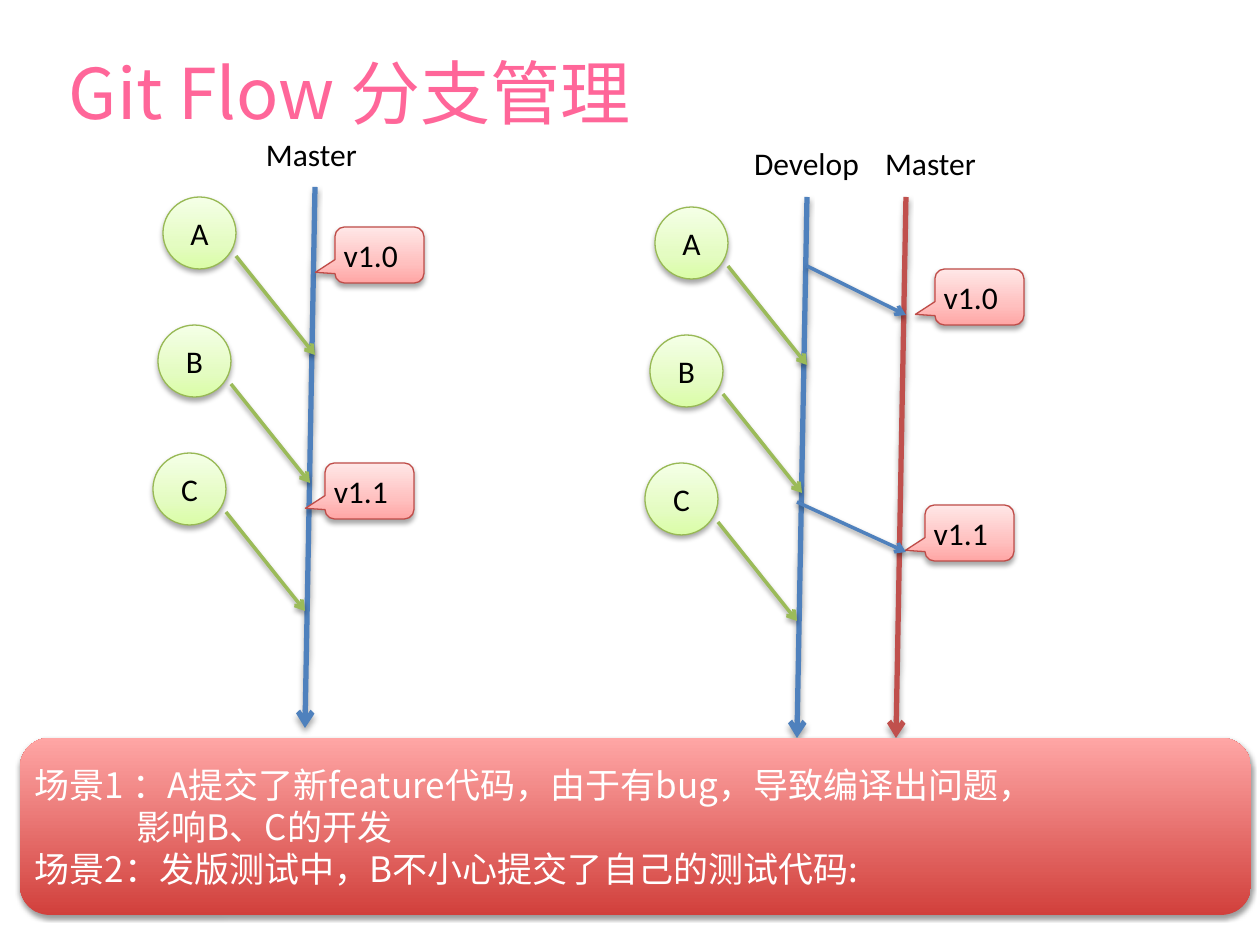
"""Build the branch management slide with one branch versus develop and master."""
from pptx import Presentation
from pptx.dml.color import RGBColor
from pptx.enum.shapes import MSO_CONNECTOR, MSO_SHAPE
from pptx.enum.text import MSO_ANCHOR, PP_ALIGN
from pptx.oxml import parse_xml
from pptx.oxml.ns import nsdecls, qn
from pptx.util import Emu, Pt

SANS = "Calibri"
CJK = "Noto Sans CJK SC"
BLUE, RED, GREEN = "4F81BD", "C0504D", "9BBB59"
GREEN_STOPS = [(0, "DAFDA7"), (35, "E4FCC2"), (100, "F5FFE7")]
PINK_STOPS = [(0, "FFA6A5"), (35, "FFC0BF"), (100, "FFE7E7")]
RED_STOPS = [(0, "D1403C"), (100, "FFA6A5")]


def px(length):
    return Emu(round(length * 914400 / 126))


def color(code):
    return RGBColor.from_string(code)


def effects(distance=1.8, opacity=35):
    return parse_xml(
        f'<a:effectLst {nsdecls("a")}><a:outerShdw blurRad="{Pt(3)}" dist="{Pt(distance)}" '
        f'dir="5400000" rotWithShape="0"><a:srgbClr val="000000">'
        f'<a:alpha val="{opacity * 1000}"/></a:srgbClr></a:outerShdw></a:effectLst>')


class Board:
    def __init__(self, presentation):
        self.slide = presentation.slides.add_slide(presentation.slide_layouts[6])
        self.shapes = self.slide.shapes

    def fill_text(self, shape, lines, size=18, font=SANS, ink="000000", wrap=False,
                  anchor=MSO_ANCHOR.MIDDLE, align=PP_ALIGN.LEFT):
        frame = shape.text_frame
        frame.word_wrap = wrap
        frame.vertical_anchor = anchor
        frame.margin_left = frame.margin_right = px(6)
        frame.margin_top = frame.margin_bottom = px(6)
        for index, (text, indent) in enumerate(lines):
            paragraph = frame.add_paragraph() if index else frame.paragraphs[0]
            paragraph.alignment = align
            if indent:
                paragraph._p.get_or_add_pPr().set("marL", str(px(indent)))
            run = paragraph.add_run()
            run.text = text
            run.font.size = Pt(size)
            run.font.name = font
            run.font.color.rgb = color(ink)
            run.font._element.append(
                parse_xml(f'<a:ea {nsdecls("a")} typeface="{CJK}"/>'))

    def text(self, words, left, top, width, height, **style):
        box = self.shapes.add_textbox(px(left), px(top), px(width), px(height))
        self.fill_text(box, [(words, 0)], **style)

    def label(self, words, left, top, width=105):
        self.text(words, left, top, width, 50, anchor=MSO_ANCHOR.TOP)

    def box(self, kind, left, top, width, height, stops, outline=None, shadow=(1.8, 35)):
        shape = self.shapes.add_shape(kind, px(left), px(top), px(width), px(height))
        shape.fill.gradient()
        shape.fill.gradient_angle = 90
        properties = shape._element.spPr
        stop_list = properties.find(qn("a:gradFill")).find(qn("a:gsLst"))
        for stop in list(stop_list):
            stop_list.remove(stop)
        for position, code in stops:
            stop_list.append(parse_xml(
                f'<a:gs {nsdecls("a")} pos="{position * 1000}"><a:srgbClr val="{code}"/></a:gs>'))
        if outline:
            shape.line.color.rgb = color(outline)
            shape.line.width = Pt(0.75)
        else:
            shape.line.fill.background()
        properties.append(effects(*shadow))
        return shape

    def arrow(self, start, end, code, width=2, shadow=(1.8, 35)):
        connector = self.shapes.add_connector(
            MSO_CONNECTOR.STRAIGHT, px(start[0]), px(start[1]), px(end[0]), px(end[1]))
        connector.line.color.rgb = color(code)
        connector.line.width = Pt(width)
        connector.line._get_or_add_ln().append(
            parse_xml(f'<a:tailEnd {nsdecls("a")} type="arrow"/>'))
        connector._element.spPr.append(effects(*shadow))

    def branch(self, left, top, code):
        self.arrow((left, top), (left - 10, top + 541), code, 3)

    def commits(self, left, top):
        for index, name in enumerate("ABC"):
            x, y = left - 5 * index, top + 128 * index
            self.arrow((x - 79, y + 69), (x, y + 168), GREEN)
            circle = self.box(MSO_SHAPE.OVAL, x - 152, y + 10, 73, 72, GREEN_STOPS, "98B955")
            self.fill_text(circle, [(name, 0)], align=PP_ALIGN.CENTER)

    def releases(self, left, top):
        for index, version in enumerate(("v1.0", "v1.1")):
            callout = self.box(MSO_SHAPE.ROUNDED_RECTANGULAR_CALLOUT, left - 10 * index,
                               top + 236 * index, 89, 56, PINK_STOPS, "BF4C48")
            for position, value in enumerate((-0.72, 0.31, 0.17)):
                callout.adjustments[position] = value
            self.fill_text(callout, [(version, 0)], wrap=True)


def main():
    presentation = Presentation()
    presentation.slide_width, presentation.slide_height = px(1260), px(945)
    board = Board(presentation)
    board.text("Git Flow 分支管理", 63, 0, 1134, 183,
               size=40, font=CJK, ink="FF6699", wrap=True)

    board.branch(315, 187, BLUE)
    board.label("Master", 260, 129)
    board.commits(315, 187)
    board.releases(335, 227)

    board.branch(807, 197, BLUE)
    board.label("Develop", 748, 138, 120)
    board.commits(807, 197)
    board.branch(906, 197, RED)
    board.label("Master", 879, 138)
    board.releases(935, 269)
    for start, end in (((807, 266), (906, 315)), ((797, 502), (906, 552))):
        board.arrow(start, end, BLUE, shadow=(1.6, 38))

    panel = board.box(MSO_SHAPE.ROUNDED_RECTANGLE, 20, 738, 1231, 177,
                      RED_STOPS, shadow=(1.6, 38))
    board.fill_text(panel, [
        ("场景1 ：A提交了新feature代码，由于有bug，导致编译出问题，", 0),
        ("影响B、C的开发", 102),
        ("场景2：发版测试中，B不小心提交了自己的测试代码:", 0),
    ], size=20, font=CJK, ink="FFFFFF")
    presentation.save("out.pptx")


if __name__ == "__main__":
    main()
